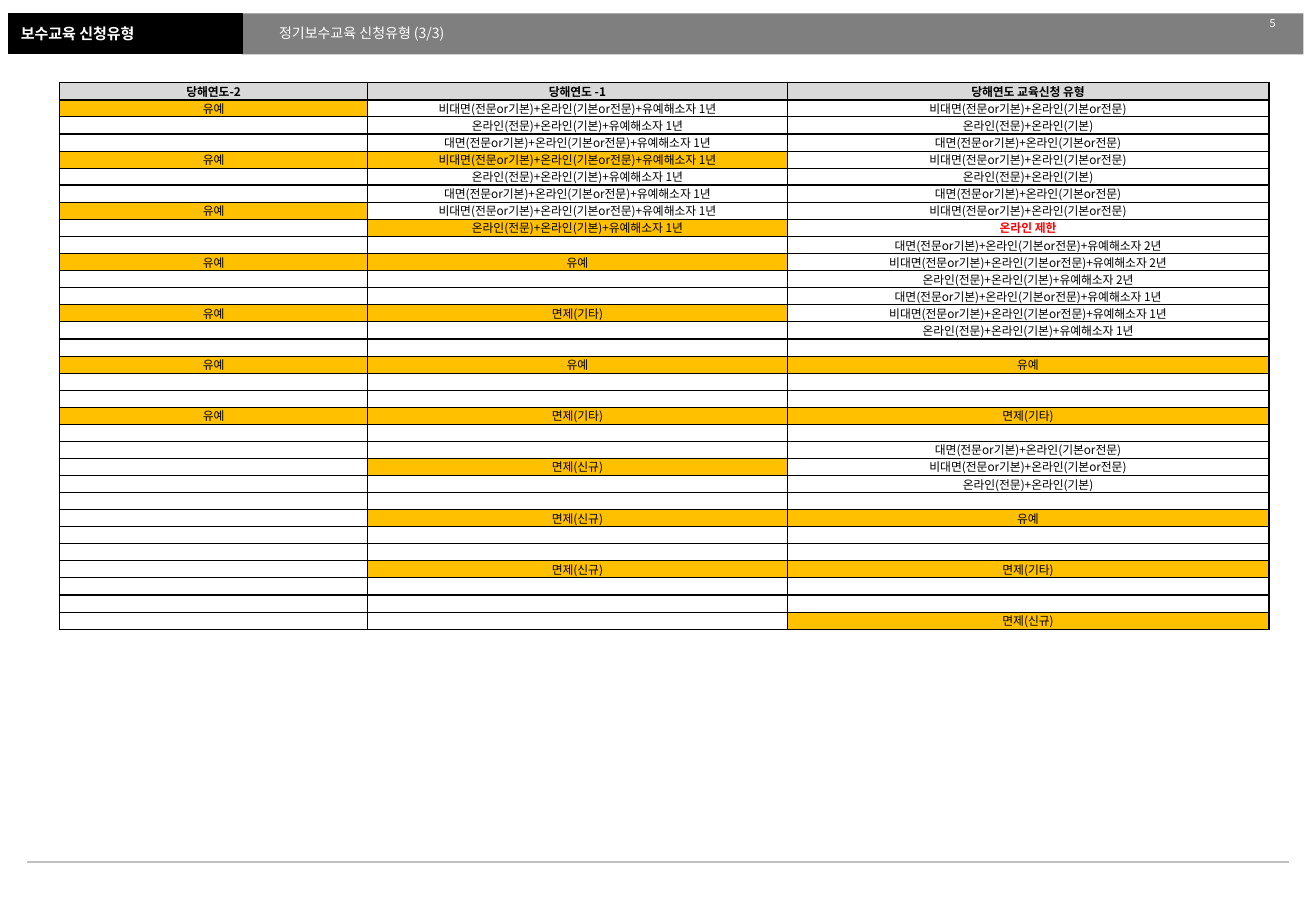
from dataclasses import dataclass

from pptx import Presentation
from pptx.dml.color import RGBColor
from pptx.enum import shapes, text
from pptx.oxml.ns import qn
from pptx.util import Cm, Pt

TITLE = "보수교육 신청유형"
SUBTITLE = "정기보수교육 신청유형 (3/3)"
PAGE_NUMBER = "5"

REMOTE = "비대면(전문or기본)+온라인(기본or전문)"
ONLINE = "온라인(전문)+온라인(기본)"
ON_SITE = "대면(전문or기본)+온라인(기본or전문)"
ONE_YEAR = "+유예해소자 1년"
TWO_YEARS = "+유예해소자 2년"
DEFERRED = "유예"
EXEMPT_OTHER = "면제(기타)"
EXEMPT_NEW = "면제(신규)"
RESTRICTED = "온라인 제한"
EMPTY_ROW = ("", "", "")

ROWS = [
    ("당해연도-2", "당해연도 -1", "당해연도 교육신청 유형"),
    (DEFERRED, REMOTE + ONE_YEAR, REMOTE),
    ("", ONLINE + ONE_YEAR, ONLINE),
    ("", ON_SITE + ONE_YEAR, ON_SITE),
    (DEFERRED, REMOTE + ONE_YEAR, REMOTE),
    ("", ONLINE + ONE_YEAR, ONLINE),
    ("", ON_SITE + ONE_YEAR, ON_SITE),
    (DEFERRED, REMOTE + ONE_YEAR, REMOTE),
    ("", ONLINE + ONE_YEAR, RESTRICTED),
    ("", "", ON_SITE + TWO_YEARS),
    (DEFERRED, DEFERRED, REMOTE + TWO_YEARS),
    ("", "", ONLINE + TWO_YEARS),
    ("", "", ON_SITE + ONE_YEAR),
    (DEFERRED, EXEMPT_OTHER, REMOTE + ONE_YEAR),
    ("", "", ONLINE + ONE_YEAR),
    EMPTY_ROW,
    (DEFERRED, DEFERRED, DEFERRED),
    EMPTY_ROW,
    EMPTY_ROW,
    (DEFERRED, EXEMPT_OTHER, EXEMPT_OTHER),
    EMPTY_ROW,
    ("", "", ON_SITE),
    ("", EXEMPT_NEW, REMOTE),
    ("", "", ONLINE),
    EMPTY_ROW,
    ("", EXEMPT_NEW, DEFERRED),
    EMPTY_ROW,
    EMPTY_ROW,
    ("", EXEMPT_NEW, EXEMPT_OTHER),
    EMPTY_ROW,
    EMPTY_ROW,
    ("", "", EXEMPT_NEW),
]
HIGHLIGHTED_TEXTS = {DEFERRED, EXEMPT_OTHER, EXEMPT_NEW}
HIGHLIGHTED_CELLS = {(4, 1), (8, 1)}
COLUMN_WIDTHS = (6.45, 8.76, 10.08)
ROW_HEIGHT = 0.35
COMMON_RULES = {0, 2, 5, 8, 14, 20, 23, 29}
THICK_RULES_BELOW = (COMMON_RULES | {26}, COMMON_RULES | {26}, COMMON_RULES | {11})


@dataclass(frozen=True)
class Theme:
    font: str = "Noto Sans CJK KR"
    black: str = "000000"
    white: str = "FFFFFF"
    band: str = "7F7F7F"
    footer: str = "C0C0C0"
    header: str = "D9D9D9"
    highlight: str = "FFC000"
    alert: str = "FF0000"
    title_size: float = 8.9
    subtitle_size: float = 8.3
    table_size: float = 7
    number_size: float = 6.5
    thin: float = 0.5
    thick: float = 1


THEME = Theme()


def color(value):
    return RGBColor.from_string(value)


def place(shape, left, top, width, height):
    shape.left, shape.top, shape.width, shape.height = map(Cm, (left, top, width, height))


def set_typeface(properties):
    for tag in ("a:latin", "a:ea"):
        properties.makeelement(qn(tag), {})
        typeface = properties.find(qn(tag))
        if typeface is None:
            typeface = properties.makeelement(qn(tag), {})
            properties.append(typeface)
        typeface.set("typeface", THEME.font)


def add_run(paragraph, content, size, ink, bold=False):
    run = paragraph.add_run()
    run.text = content
    run.font.size = Pt(size)
    run.font.bold = bold
    run.font.color.rgb = color(ink)
    set_typeface(run.font._element)


def add_bar(slide, box, fill):
    shape = slide.shapes.add_shape(shapes.MSO_SHAPE.RECTANGLE, *map(Cm, box))
    shape.shadow.inherit = False
    shape.fill.solid()
    shape.fill.fore_color.rgb = color(fill)
    shape.line.fill.background()
    return shape


def fill_placeholder(slide, shape, box, content, size, bold, line_spacing):
    place(shape, *box)
    slide.shapes.element.append(shape.element)
    frame = shape.text_frame
    frame.auto_size = text.MSO_AUTO_SIZE.NONE
    frame.vertical_anchor = text.MSO_ANCHOR.MIDDLE
    paragraph = frame.paragraphs[0]
    paragraph.alignment = text.PP_ALIGN.LEFT
    paragraph.line_spacing = line_spacing
    add_run(paragraph, content, size, THEME.white, bold)
    return paragraph


def add_border(cell, side, width):
    properties = cell._tc.get_or_add_tcPr()
    line = properties.makeelement(qn(f"a:{side}"), {"w": str(Pt(width))})
    fill = line.makeelement(qn("a:solidFill"), {})
    fill.append(fill.makeelement(qn("a:srgbClr"), {"val": THEME.black}))
    line.append(fill)
    properties.append(line)


def style_cell(cell, row, column):
    content = ROWS[row][column]
    thickness = {
        "lnL": column == 0,
        "lnR": column == len(COLUMN_WIDTHS) - 1,
        "lnT": row == 0 or row - 1 in THICK_RULES_BELOW[column],
        "lnB": row in THICK_RULES_BELOW[column],
    }
    for side, is_thick in thickness.items():
        add_border(cell, side, THEME.thick if is_thick else THEME.thin)
    highlighted = content in HIGHLIGHTED_TEXTS or (row, column) in HIGHLIGHTED_CELLS
    if row == 0 or highlighted:
        cell.fill.solid()
        cell.fill.fore_color.rgb = color(THEME.header if row == 0 else THEME.highlight)
    else:
        cell.fill.background()
    cell.margin_left = cell.margin_right = cell.margin_top = cell.margin_bottom = 0
    cell.vertical_anchor = text.MSO_ANCHOR.MIDDLE
    paragraph = cell.text_frame.paragraphs[0]
    paragraph.alignment = text.PP_ALIGN.CENTER
    if content:
        alert = content == RESTRICTED
        ink = THEME.alert if alert else THEME.black
        add_run(paragraph, content, THEME.table_size, ink, row == 0 or alert)
    else:
        properties = paragraph._p.get_or_add_endParaRPr()
        properties.set("sz", str(int(THEME.table_size * 100)))
        set_typeface(properties)


def add_header(slide):
    add_bar(slide, (5.05, 0.28, 22.2, 0.86), THEME.band)
    title_bar = add_bar(slide, (0.18, 0.28, 4.88, 0.84), THEME.black)
    title_bar.line.color.rgb = color(THEME.black)
    title_bar.line.width = Pt(0.75)

    number = slide.shapes.add_textbox(*map(Cm, (26.34, 0.28, 0.86, 0.41)))
    frame = number.text_frame
    frame.word_wrap = True
    frame.vertical_anchor = text.MSO_ANCHOR.MIDDLE
    frame.margin_left = frame.margin_right = Cm(0.2)
    frame.margin_top = frame.margin_bottom = Cm(0.1)
    add_run(frame.paragraphs[0], PAGE_NUMBER, THEME.number_size, THEME.white)

    fill_placeholder(slide, slide.shapes.title, (0.18, 0.33, 4.88, 0.81),
                     TITLE, THEME.title_size, True, 0.9)
    subtitle = fill_placeholder(slide, slide.placeholders[1], (5.05, 0.33, 17.58, 0.81),
                                SUBTITLE, THEME.subtitle_size, False, 0.7)
    subtitle.space_before = Pt(8.1)
    properties = subtitle._p.get_or_add_pPr()
    properties.set("marL", str(Cm(1.04)))
    properties.set("indent", str(Cm(-0.51)))
    properties.append(properties.makeelement(qn("a:buNone"), {}))


def add_footer_line(slide):
    line = slide.shapes.add_connector(shapes.MSO_CONNECTOR.STRAIGHT, *map(Cm, (0.56, 18.03, 26.95, 18.03)))
    line.line.color.rgb = color(THEME.footer)
    line.line.width = Pt(1.5)
    properties = line.element.spPr
    properties.append(properties.makeelement(qn("a:effectLst"), {}))


def add_type_table(slide):
    size = (sum(COLUMN_WIDTHS), ROW_HEIGHT * len(ROWS))
    table = slide.shapes.add_table(len(ROWS), len(COLUMN_WIDTHS), *map(Cm, (1.24, 1.73, *size))).table
    table.horz_banding = False
    table.first_row = False
    for column, width in zip(table.columns, COLUMN_WIDTHS):
        column.width = Cm(width)
    for row_index, row in enumerate(table.rows):
        row.height = Cm(ROW_HEIGHT)
        for column_index, cell in enumerate(row.cells):
            style_cell(cell, row_index, column_index)


def main():
    presentation = Presentation()
    presentation.slide_width, presentation.slide_height = Cm(27.51), Cm(19.05)
    slide = presentation.slides.add_slide(presentation.slide_layouts[1])
    add_header(slide)
    add_footer_line(slide)
    add_type_table(slide)
    presentation.save("out.pptx")


if __name__ == "__main__":
    main()
